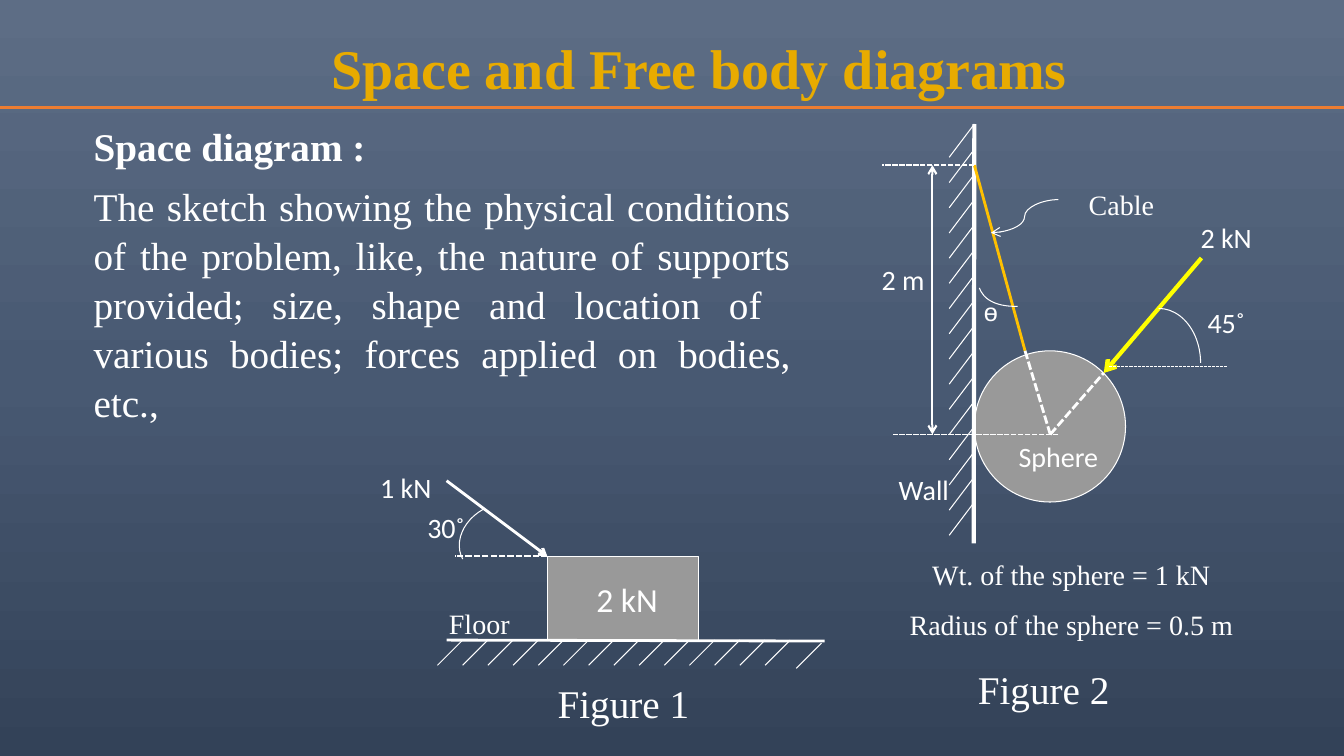
from copy import deepcopy

from pptx import Presentation
from pptx.dml.color import RGBColor
from pptx.enum.dml import MSO_LINE
from pptx.enum.shapes import MSO_CONNECTOR, MSO_SHAPE
from pptx.enum.text import PP_ALIGN
from pptx.oxml.ns import qn
from pptx.oxml.xmlchemy import OxmlElement
from pptx.util import Pt

WHITE = RGBColor(0xFF, 0xFF, 0xFF)
GOLD = RGBColor(0xE8, 0xAB, 0x00)
ORANGE = RGBColor(0xED, 0x7D, 0x31)
AMBER = RGBColor(0xFF, 0xC0, 0x00)
YELLOW = RGBColor(0xFF, 0xFF, 0x00)
GREY = RGBColor(0x99, 0x99, 0x99)
SKY = [RGBColor(0x5D, 0x6D, 0x85), RGBColor(0x48, 0x59, 0x72), RGBColor(0x33, 0x42, 0x58)]
DASH = MSO_LINE.SQUARE_DOT
STRAIGHT, CURVE = MSO_CONNECTOR.STRAIGHT, MSO_CONNECTOR.CURVE
RECT, OVAL, ARC = MSO_SHAPE.RECTANGLE, MSO_SHAPE.OVAL, MSO_SHAPE.ARC
CENTER, JUSTIFY = PP_ALIGN.CENTER, PP_ALIGN.JUSTIFY
SERIF, SANS, ARIAL = "Times New Roman", "Calibri", "Arial"

deck = Presentation()
deck.slide_width, deck.slide_height = Pt(960), Pt(540)
slide = deck.slides.add_slide(deck.slide_layouts[6])
shapes = slide.shapes


def draw(x1, y1, x2, y2, width=0.75, color=WHITE, dash=None, ends=(), kind=STRAIGHT):
    line = shapes.add_connector(kind, Pt(x1), Pt(y1), Pt(x2), Pt(y2))
    line.line.color.rgb = color
    line.line.width = Pt(width)
    if dash:
        line.line.dash_style = dash
    props = line.element.spPr
    for end in ends:
        tip = OxmlElement(end)
        tip.set("type", "arrow")
        props.find(qn("a:ln")).append(tip)
    props.append(OxmlElement("a:effectLst"))


def write(text, x, y, w, h, size, font, color=WHITE, align=CENTER, gap=0):
    box = shapes.add_textbox(Pt(x), Pt(y), Pt(w), Pt(h))
    frame = box.text_frame
    frame.word_wrap = True
    frame.text = text
    for i, para in enumerate(frame.paragraphs):
        para.alignment = align
        if i:
            para.space_before = Pt(gap)
        for run in para.runs:
            run.font.size = Pt(size)
            run.font.name = font
            run.font.color.rgb = color
    return frame


fill = slide.background.fill
fill.gradient()
fill.gradient_angle = 270
stops = slide.element.xpath(".//a:gsLst")[0]
stops.append(deepcopy(stops[0]))
for i, stop in enumerate(fill.gradient_stops):
    stop.color.rgb = SKY[i]
    stop.position = i / 2

draw(0, 77, 960, 77, 2.25, ORANGE)
title = write("Space and Free body diagrams", 108, 23.8, 782.6, 48.2, 40, SERIF, GOLD)
title.margin_left = title.margin_right = title.margin_top = title.margin_bottom = 0
title.paragraphs[0].runs[0].font.bold = True

body = write(
    "Space diagram :\n"
    "The sketch showing the physical conditions of the problem, like, "
    "the nature of supports provided; size, shape and location of  "
    "various bodies; forces applied on bodies, etc.,",
    59.8, 87.8, 511.9, 249, 28, SERIF, align=JUSTIFY, gap=7.5)
head, text = body.paragraphs
head.line_spacing = 0.9
head.runs[0].font.bold = True
text.line_spacing = 1.04

for kind, x, y, w, h in [(RECT, 391, 397.4, 108, 60), (OVAL, 696, 250.6, 108, 108)]:
    solid = shapes.add_shape(kind, Pt(x), Pt(y), Pt(w), Pt(h))
    solid.shadow.inherit = False
    solid.fill.solid()
    solid.fill.fore_color.rgb = GREY
    solid.line.color.rgb = WHITE
    solid.line.width = Pt(0.75)

draw(319, 457.2, 589, 457.9, 2)
for i in range(14):
    x = 330.5 + 18 * i
    draw(x, 457.2, x - 18, 475.2)
draw(586.8, 459.4, 568.8, 477.4)
draw(319, 343.4, 391, 397.4, 2, ends=["a:tailEnd"])
draw(391, 397.4, 324.7, 397.4, 1.5, dash=DASH)

draw(696, 88.6, 695.5, 388.1, 3)
for i in range(16):
    y = 88.6 + 18 * i
    draw(696, y, 678, y + 23.8)
draw(696, 118, 732.2, 250.6, 2, AMBER)
draw(732.2, 250.6, 750.2, 310.3, 2, dash=DASH)
draw(750.2, 310.3, 788.4, 266.4, 2, dash=DASH)
draw(858.2, 184.3, 788.4, 266.4, 3, YELLOW, ends=["a:tailEnd"])
draw(792, 262, 876.2, 262, dash=DASH)
draw(756, 142.6, 707.8, 166.3, ends=["a:tailEnd"], kind=CURVE)
draw(756, 310.3, 636.5, 310.3, 1.25, dash=DASH)
draw(696, 118, 630, 118, 1.25, dash=DASH)
draw(666, 118, 666, 310.3, 1.5, ends=["a:headEnd", "a:tailEnd"])

for x, y, w, h, turn, span in [
    (797.8, 220.3, 59.8, 77.8, 0, None),
    (693.4, 149, 120.2, 61.2, 151.7, (199.49, 1.51)),
    (332.6, 355, 48.2, 59.8, 241.3, None),
]:
    arc = shapes.add_shape(ARC, Pt(x), Pt(y), Pt(w), Pt(h))
    arc.shadow.inherit = False
    arc.fill.background()
    arc.line.color.rgb = WHITE
    arc.line.width = Pt(0.75)
    arc.rotation = turn
    if span:
        arc.adjustments[0], arc.adjustments[1] = span

for label in [
    ("2 kN", 409, 409.7, 77.8, 36.7, 24, SANS),
    ("1 kN", 260, 332.6, 59.8, 31.7, 20, SANS),
    ("30˚", 294.5, 361.4, 48.2, 31.7, 20, SANS),
    ("Floor", 312.5, 429.8, 59.8, 31.7, 20, SERIF),
    ("Figure 1", 349.2, 481.7, 192.2, 41, 28, SERIF),
    ("45˚", 851.8, 214.6, 48.2, 31.7, 20, SANS),
    ("2 kN", 846, 154.1, 59.8, 31.7, 20, SANS),
    ("Cable", 756, 130.3, 90, 31.7, 20, SERIF),
    ("Sphere", 702, 310.3, 108, 31.7, 20, SANS),
    ("Wall", 630, 334.1, 59.8, 31.7, 20, SANS),
    ("2 m", 612, 184.3, 66.2, 31.7, 20, SANS),
    ("ө", 689.8, 208.1, 36, 28.8, 18, ARIAL),
    ("Figure 2", 649.4, 471.6, 192.2, 41, 28, SERIF),
]:
    write(*label)
write("Wt. of the sphere = 1 kN\nRadius of the sphere = 0.5 m",
      624.2, 394.6, 282.2, 67.7, 20, SERIF, gap=11.5)

deck.save("out.pptx")
